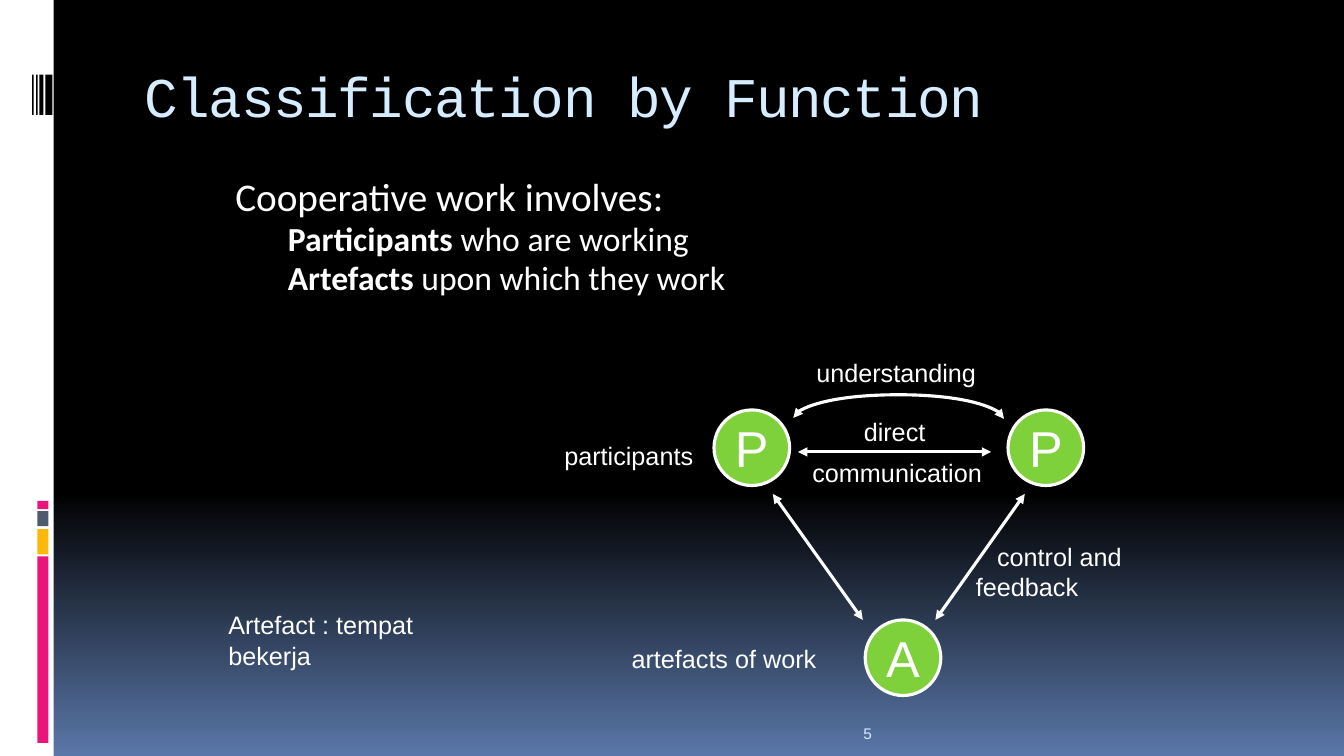
from lxml import etree
from pptx import Presentation
from pptx.dml.color import RGBColor
from pptx.enum.shapes import MSO_CONNECTOR as LINK, MSO_SHAPE as SHAPE
from pptx.enum.text import MSO_ANCHOR as ANCHOR, MSO_AUTO_SIZE as FIT, PP_ALIGN as ALIGN
from pptx.oxml.ns import qn
from pptx.util import Emu, Inches, Pt

COLUMNS, ROWS = 80, 45  # square cells of a sixth of an inch
WHITE, BLACK, PALE = "FFFFFF", "000000", "D6ECFF"
PINK, AMBER, SLATE, GREEN = "EA157A", "FEB80A", "4E5B6F", "7FD13B"


def color(hex_code):
    return RGBColor.from_string(hex_code)


class Board:
    """Holds the slide, its grid and its style."""

    font, ink, stroke = "Arial", WHITE, Pt(2.25)

    def __init__(self, deck):
        self.cell_w = deck.slide_width / COLUMNS
        self.cell_h = deck.slide_height / ROWS
        self.slide = deck.slides.add_slide(deck.slide_layouts[5])
        self.shapes = self.slide.shapes

    def place(self, *cells):
        sizes = (self.cell_w, self.cell_h) * 2
        return [Emu(round(n * size)) for n, size in zip(cells, sizes)]

    def background(self, top, bottom, start):
        fill = self.slide.background.fill
        fill.gradient()
        fill.gradient_angle = 270
        for stop, hex_code, position in zip(fill.gradient_stops, (top, bottom), (start, 1)):
            stop.color.rgb = color(hex_code)
            stop.position = position

    def run(self, paragraph, words, size, font=None, ink=None, bold=False):
        piece = paragraph.add_run()
        piece.text = words
        style = piece.font
        style.size, style.bold, style.name = Pt(size), bold, font or self.font
        style.color.rgb = color(ink or self.ink)
        return piece

    def title(self, words):
        heading = self.shapes.title
        heading.left, heading.top, heading.width, heading.height = self.place(8, 3.36, 68, 6)
        heading.text_frame.vertical_anchor = ANCHOR.TOP
        paragraph = heading.text_frame.paragraphs[0]
        paragraph.alignment = ALIGN.LEFT
        piece = self.run(paragraph, words, 40, "Courier New", PALE)
        piece.font._element.set("spc", "-100")

    def shape(self, kind, cells, fill, outline=None):
        item = self.shapes.add_shape(kind, *self.place(*cells))
        item.shadow.inherit = False
        item.fill.solid()
        item.fill.fore_color.rgb = color(fill)
        if outline:
            item.line.color.rgb = color(outline)
            item.line.width = self.stroke
        else:
            item.line.fill.background()
        return item

    def node(self, letter, left, top):
        circle = self.shape(SHAPE.OVAL, (left, top, 4.5, 4.5), GREEN, WHITE)
        frame = circle.text_frame
        frame.word_wrap, frame.vertical_anchor = False, ANCHOR.MIDDLE
        frame.paragraphs[0].alignment = ALIGN.CENTER
        self.run(frame.paragraphs[0], letter, 36)

    def text_box(self, cells, wrap=True):
        frame = self.shapes.add_textbox(*self.place(*cells)).text_frame
        frame.word_wrap = wrap
        return frame

    def label(self, lines, cells, wrap=False, align=ALIGN.LEFT, before=3.6, first_indent=0):
        frame = self.text_box(cells, wrap)
        frame.auto_size = FIT.SHAPE_TO_FIT_TEXT
        paragraph = frame.paragraphs[0]
        paragraph.alignment, paragraph.space_before = align, Pt(before)
        if first_indent:
            paragraph._p.get_or_add_pPr().set("indent", str(Inches(first_indent)))
        for i, line in enumerate(lines.split("\n")):
            if i:
                paragraph.add_line_break()
            self.run(paragraph, line, 18)

    def outline(self, items, cells):
        frame = self.text_box(cells)
        for i, (level, size, before, pieces) in enumerate(items):
            paragraph = frame.paragraphs[0] if i == 0 else frame.add_paragraph()
            paragraph.level, paragraph.line_spacing = level, 0.8
            paragraph.space_before = Pt(before)
            margin, hanging = ((0.45, -0.38), (0.9, -0.31))[level]
            props = paragraph._p.get_or_add_pPr()
            props.set("marL", str(Inches(margin)))
            props.set("indent", str(Inches(hanging)))
            for words, bold in pieces:
                self.run(paragraph, words, size, "Calibri", bold=bold)

    def arrow(self, start, end, kind=LINK.STRAIGHT):
        link = self.shapes.add_connector(kind, *self.place(*start, *end))
        link.line.color.rgb = color(WHITE)
        link.line.width = self.stroke
        stroke = link.line._ln
        for tip in ("a:headEnd", "a:tailEnd"):
            etree.SubElement(stroke, qn(tip)).set("type", "triangle")
        etree.SubElement(link._element.spPr, qn("a:effectLst"))
        return link

    def arch(self, left, right, base, rise):
        # A thin upright curve, turned a quarter so that it bows upwards
        middle, half, thin = (left + right) / 2, (right - left) / 2, 0.06
        link = self.arrow((middle - thin / 2, base + half),
                          (middle + thin / 2, base - half), LINK.CURVE)
        props = link._element.spPr
        props.find(qn("a:xfrm")).set("rot", "5400000")
        guides = props.find(qn("a:prstGeom")).find(qn("a:avLst"))
        guide = etree.SubElement(guides, qn("a:gd"))
        guide.set("name", "adj1")
        guide.set("fmla", f"val {round(-rise / thin * 100000)}")


def main():
    deck = Presentation()
    deck.slide_width, deck.slide_height = Inches(13.33), Inches(7.5)
    board = Board(deck)
    board.background(BLACK, "5A77A9", 0.65)

    # Side strip with its coloured bars and black stripes
    board.shape(SHAPE.RECTANGLE, (0, 0, 3.2, ROWS), WHITE)
    for top, height, fill in ((33.12, 11.1, PINK), (31.5, 1.5, AMBER),
                              (30.42, 0.9, SLATE), (29.82, 0.48, PINK)):
        board.shape(SHAPE.RECTANGLE, (2.22, top, 0.66, height), fill)
    for left, width in ((2.7, 0.42), (2.34, 0.24), (2.16, 0.08), (1.92, 0.08)):
        board.shape(SHAPE.RECTANGLE, (left, 4.44, width, 2.4), BLACK)

    # Title and key points
    board.title("Classification by Function")
    board.outline((
        (0, 28, 7, [("Cooperative work involves:", False)]),
        (1, 24, 4.8, [("Participants", True), (" who are working", False)]),
        (1, 24, 4.8, [("Artefacts", True), (" upon which they work", False)]),
    ), (13, 10.5, 54, 8.28))

    # Participants and artefact
    for letter, left, top in (("P", 42.5, 24.4), ("P", 60, 24.4), ("A", 51.5, 36.9)):
        board.node(letter, left, top)

    # Relations between them
    for start, end in (((46, 29.4), (51.36, 36.9)), ((61, 29.4), (55.68, 36.9)),
                       ((59, 26.9), (47.5, 26.9))):
        board.arrow(start, end)
    board.arch(47.22, 59.76, 24.9, 1.4)

    # Labels, each box a little wider than its words
    board.label("participants", (33, 25.92, 9.2, 2.4))
    board.label("artefacts of work", (37, 37.98, 12.6, 2.4))
    board.label("control and\nfeedback", (57.5, 31.92, 11, 4.2), wrap=True, first_indent=0.21)
    board.label("communication", (47.6, 26.9, 11.6, 2.4), align=ALIGN.CENTER)
    board.label("understanding", (48, 21, 11.1, 2.4))
    board.label("direct", (50.65, 24.48, 5.2, 2.4), align=ALIGN.CENTER)
    board.label("Artefact : tempat bekerja", (13, 36, 17.5, 4.25), wrap=True, before=9)

    # Slide number
    number = board.text_box((16, 42.12, 36.5, 2.4))
    number.vertical_anchor = ANCHOR.BOTTOM
    number.paragraphs[0].alignment = ALIGN.RIGHT
    board.run(number.paragraphs[0], "5", 11, ink=PALE)

    deck.save("out.pptx")


if __name__ == "__main__":
    main()
